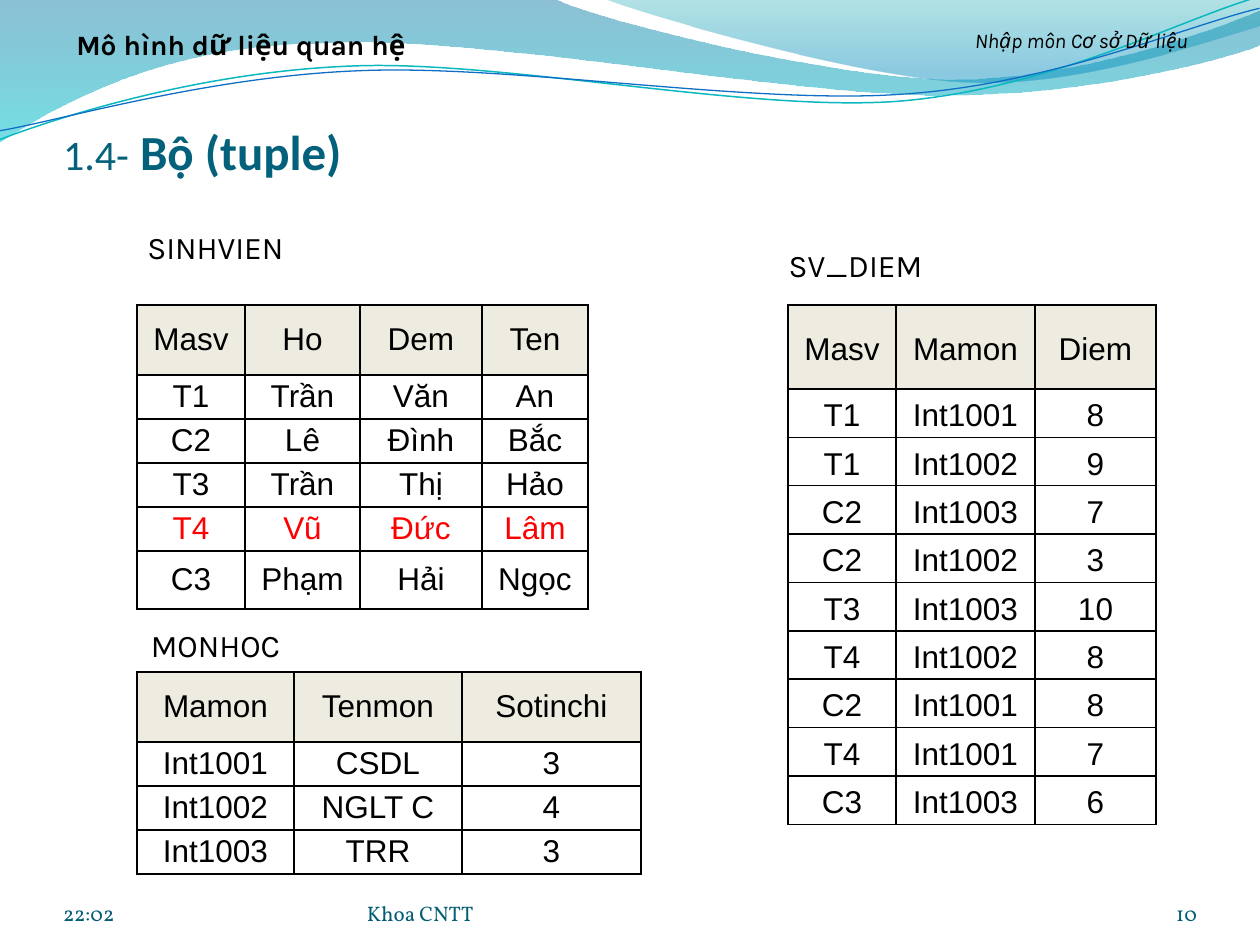
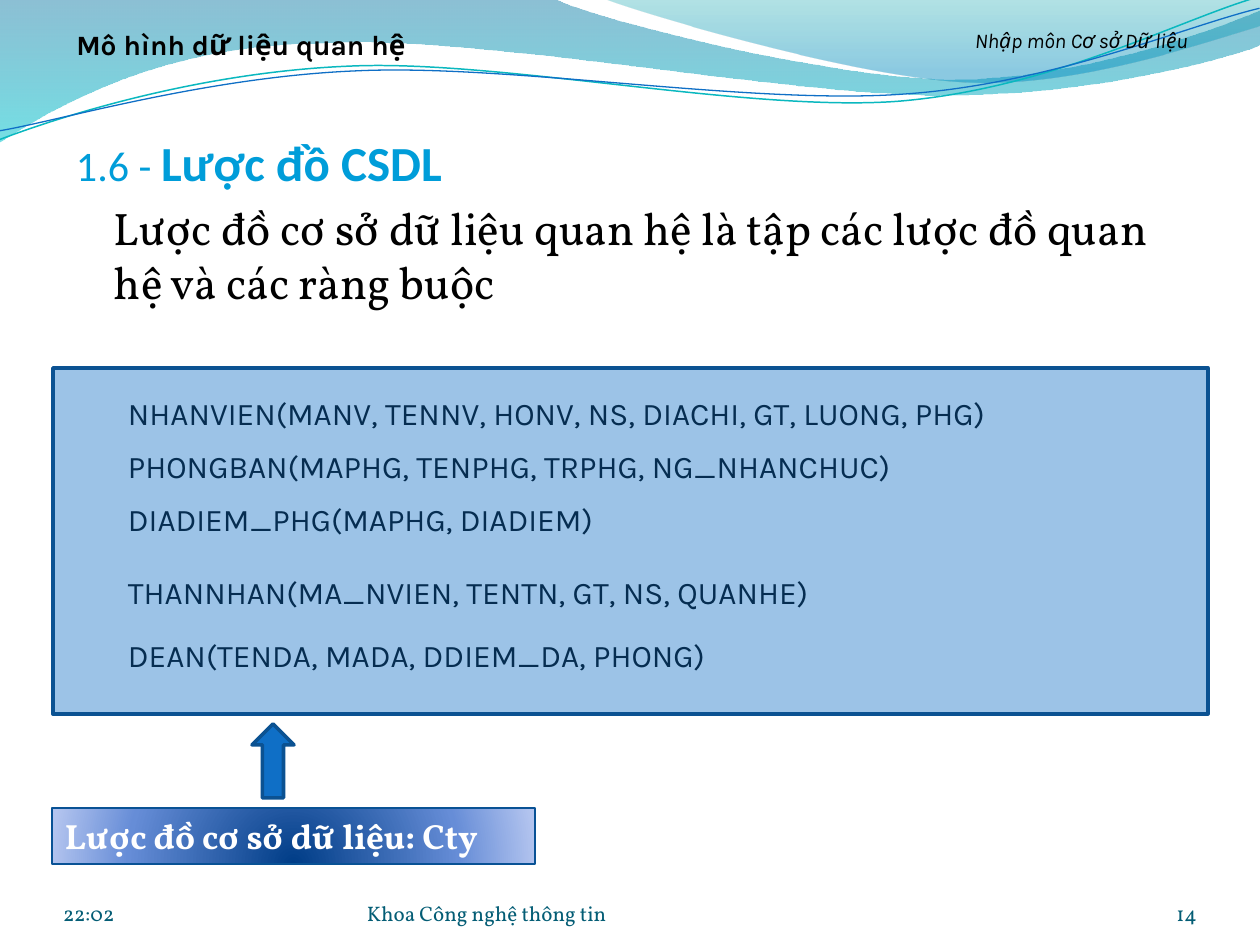
from lxml import etree
from pptx import Presentation
from pptx.dml.color import RGBColor
from pptx.enum.shapes import MSO_SHAPE
from pptx.enum.text import MSO_ANCHOR, MSO_AUTO_SIZE, PP_ALIGN
from pptx.oxml import parse_xml
from pptx.oxml.ns import nsdecls, qn
from pptx.util import Emu, Pt

LEFT, CENTER, RIGHT = PP_ALIGN.LEFT, PP_ALIGN.CENTER, PP_ALIGN.RIGHT
TOP, MIDDLE, BOTTOM = MSO_ANCHOR.TOP, MSO_ANCHOR.MIDDLE, MSO_ANCHOR.BOTTOM
RECTANGLE, UP_ARROW = MSO_SHAPE.RECTANGLE, MSO_SHAPE.UP_ARROW
NO_AUTOFIT = MSO_AUTO_SIZE.NONE
TITLE_AND_CONTENT, TITLE_ONLY = 1, 5

HEADING, LABEL, SERIF, GRID = "Calibri", "Karla", "Vollkorn", "Arial"
BLACK, WHITE, RED = "000000", "FFFFFF", "FF0000"
TEAL, SKY, FOOTER = "04617B", "009DD9", "045D75"
BLUE, BLUE_EDGE, HEADER_FILL = "0F6FC6", "0B5292", "EEECE1"
INSETS = (13, 6, 13, 6)
NO_INSETS = (0, 0, 0, 0)
CURVE_TURN = 357.3
DOWNWARD = '<a:lin ang="5400000" scaled="0"/>'
RADIAL = ('<a:path path="circle"><a:fillToRect l="50000" t="130000" '
          'r="50000" b="-30000"/></a:path>')

WIDE_WAVE = [(0, -1), (554, -1), (600, 21, 837, 79, 955, 79),
             (1075, 79, 1207, 33, 1260, 11), (1261, 45),
             (1239, 55, 1096, 96, 940, 95), (781, 95, 481, 35, 324, 43),
             (163, 44, 58, 105, -1, 142)]
RIGHT_WAVE = [(604, -1), (641, 14, 859, 78, 969, 82),
              (1079, 87, 1211, 40, 1260, 26), (1260, 0)]
TEAL_CURVE = [(-3, 110), (58, 90, 199, 52, 350, 53),
              (499, 53, 745, 118, 896, 114), (1049, 109, 1184, 45, 1260, 27)]
BLUE_CURVE = [(-2, 101), (57, 94, 207, 57, 357, 58),
              (509, 58, 750, 111, 902, 107), (1052, 104, 1188, 52, 1262, 38)]

STUDENTS = [("Masv", "Ho", "Dem", "Ten"), ("T1", "Trần", "Văn", "An"),
            ("C2", "Lê", "Đình", "Bắc"), ("T3", "Trần", "Thị", "Hảo"),
            ("T4", "Vũ", "Đức", "Lâm"), ("C3", "Phạm", "Hải", "Ngọc")]
SUBJECTS = [("Mamon", "Tenmon", "Sotinchi"), ("Int1001", "CSDL", "3"),
            ("Int1002", "NGLT C", "4"), ("Int1003", "TRR", "3")]
GRADES = [("Masv", "Mamon", "Diem"), ("T1", "Int1001", "8"),
          ("T1", "Int1002", "9"), ("C2", "Int1003", "7"),
          ("C2", "Int1002", "3"), ("T3", "Int1003", "10"),
          ("T4", "Int1002", "8"), ("C2", "Int1001", "8"),
          ("T4", "Int1001", "7"), ("C3", "Int1003", "6")]
RELATIONS = [(388, "NHANVIEN(MANV, TENNV, HONV, NS, DIACHI, GT, LUONG, PHG)"),
             (441, "PHONGBAN(MAPHG, TENPHG, TRPHG, NG_NHANCHUC)"),
             (494, "DIADIEM_PHG(MAPHG, DIADIEM)"),
             (567, "THANNHAN(MA_NVIEN, TENTN, GT, NS, QUANHE)"),
             (630, "DEAN(TENDA, MADA, DDIEM_DA, PHONG)")]


def px(value):
    """Turn picture pixels into EMU."""
    return Emu(round(value * 914400 / 126))


def rgb(code):
    """Turn a hex string into a colour."""
    return RGBColor.from_string(code)


def style_font(font, name, size, color, bold=False, italic=False):
    """Set the face, size and colour of a font."""
    font.name, font.size = name, Pt(size)
    font.bold, font.italic = bold, italic
    font.color.rgb = rgb(color)


def set_frame(frame, insets, anchor):
    """Set the wrapping, margins and anchor of a text frame."""
    frame.word_wrap = True
    frame.auto_size = NO_AUTOFIT
    frame.vertical_anchor = anchor
    (frame.margin_left, frame.margin_top,
     frame.margin_right, frame.margin_bottom) = map(px, insets)


def add_text(slide, box, text, face, size, color=BLACK, align=LEFT,
             insets=INSETS, anchor=TOP, **style):
    """Add a text box with one paragraph."""
    frame = slide.shapes.add_textbox(*map(px, box)).text_frame
    set_frame(frame, insets, anchor)
    paragraph = frame.paragraphs[0]
    paragraph.text, paragraph.alignment = text, align
    style_font(paragraph.font, face, size, color, **style)


def set_heading(holder, box, number, name, color, insets, anchor):
    """Place a placeholder and write a light number and a bold name."""
    holder.left, holder.top, holder.width, holder.height = map(px, box)
    set_frame(holder.text_frame, insets, anchor)
    paragraph = holder.text_frame.paragraphs[0]
    paragraph.alignment = LEFT
    for text, size, bold in ((number, 24, False), (name, 28, True)):
        run = paragraph.add_run()
        run.text = text
        style_font(run.font, HEADING, size, color, bold)


def set_indent(paragraph, margin, first):
    """Indent a paragraph and take its bullet away."""
    properties = paragraph._p.get_or_add_pPr()
    properties.set("marL", str(px(margin)))
    properties.set("indent", str(px(first)))
    properties.insert(0, parse_xml(f'<a:buNone {nsdecls("a")}/>'))


def set_gradient(shape, stops, direction):
    """Fill a shape with stops of position, colour and opacity."""
    marks = "".join(
        f'<a:gs pos="{place * 1000}"><a:srgbClr val="{color}">'
        f'<a:alpha val="{opacity * 1000}"/></a:srgbClr></a:gs>'
        for place, color, opacity in stops)
    gradient = parse_xml(f'<a:gradFill {nsdecls("a")} rotWithShape="1">'
                         f'<a:gsLst>{marks}</a:gsLst>{direction}</a:gradFill>')
    shape.fill.background()
    properties = shape.fill._xPr
    properties.replace(properties.find(qn("a:noFill")), gradient)


def add_outline(slide, route, close):
    """Add a freeform whose six-number parts become cubic curves."""
    points = [(px(x), px(y)) for part in route
              for x, y in zip(part[::2], part[1::2])]
    builder = slide.shapes.build_freeform(*points[0])
    builder.add_line_segments(points[1:], close=close)
    outline = builder.convert_to_shape()
    outline.shadow.inherit = False
    segments = iter(list(outline._element.iter(qn("a:lnTo"))))
    for part in route[1:]:
        segment = next(segments)
        if len(part) == 6:
            segment.tag = qn("a:cubicBezTo")
            for follower in (next(segments), next(segments)):
                segment.append(follower[0])
                follower.getparent().remove(follower)
    return outline


def add_wave(slide, route, stops):
    """Add a filled wave of the top band."""
    wave = add_outline(slide, route, True)
    set_gradient(wave, stops, DOWNWARD)
    wave.line.fill.background()
    return wave


def add_curve(slide, route, color, weight):
    """Add a thin, slightly turned curve of the top band."""
    curve = add_outline(slide, route, False)
    curve.rotation = CURVE_TURN
    curve.fill.background()
    curve.line.color.rgb = rgb(color)
    curve.line.width = Pt(weight)
    return curve


def set_master_band(deck, slide):
    """Draw the top band and move it to the back of the master."""
    band = [
        add_wave(slide, WIDE_WAVE, [(0, "0074A1", 45), (100, "00C6CF", 55)]),
        add_wave(slide, RIGHT_WAVE, [(0, "00A1A9", 30), (80, "008BBF", 45)]),
        add_curve(slide, TEAL_CURVE, "0AB8BF", 0.85),
        add_curve(slide, BLUE_CURVE, BLUE, 0.75)]
    tree = deck.slide_master.shapes._spTree
    for place, piece in enumerate(band):
        piece._element.nvSpPr.cNvPr.set("id", str(100 + place))
        tree.insert(2 + place, piece._element)


def add_block(slide, kind, box, edge, weight):
    """Add a blue preset shape with an edge."""
    block = slide.shapes.add_shape(kind, *map(px, box))
    block.shadow.inherit = False
    block.fill.solid()
    block.fill.fore_color.rgb = rgb(BLUE)
    block.line.color.rgb = rgb(edge)
    block.line.width = Pt(weight)
    return block


def add_borders(cell):
    """Draw a thin black border on all sides of a cell."""
    properties = cell._tc.get_or_add_tcPr()
    for place, side in enumerate(("lnL", "lnR", "lnT", "lnB")):
        properties.insert(place, parse_xml(
            f'<a:{side} {nsdecls("a")} w="12700"><a:solidFill>'
            f'<a:srgbClr val="{BLACK}"/></a:solidFill></a:{side}>'))


def add_grid(slide, left, top, widths, heights, rows, marked=None, spacing=1):
    """Add a bordered table with a tinted header and one marked row."""
    table = slide.shapes.add_table(
        len(rows), len(widths), px(left), px(top),
        px(sum(widths)), px(sum(heights))).table
    table.first_row = table.horz_banding = False
    for column, width in zip(table.columns, widths):
        column.width = px(width)
    for index, (row, height, values) in enumerate(
            zip(table.rows, heights, rows)):
        row.height = px(height)
        for cell, value in zip(row.cells, values):
            cell.margin_left = cell.margin_right = px(9)
            cell.margin_top = cell.margin_bottom = 0
            cell.vertical_anchor = MIDDLE
            if index == 0:
                cell.fill.solid()
                cell.fill.fore_color.rgb = rgb(HEADER_FILL)
            else:
                cell.fill.background()
            add_borders(cell)
            paragraph = cell.text_frame.paragraphs[0]
            paragraph.text, paragraph.alignment = value, CENTER
            paragraph.line_spacing = spacing
            style_font(paragraph.font, GRID, 18,
                       RED if values[0] == marked else BLACK)


def add_page(deck, layout, department, number):
    """Add a slide with the shared headers and footers."""
    slide = deck.slides.add_slide(deck.slide_layouts[layout])
    for left, width, text, align in ((63, 294, "22:02", LEFT),
                                     (1092, 105, number, RIGHT),
                                     (367, 462, department, LEFT)):
        add_text(slide, (left, 876, width, 50), text, SERIF, 12, FOOTER,
                 align, NO_INSETS, BOTTOM)
    add_text(slide, (903, 22, 357, 48), "Nhập môn Cơ sở Dữ liệu",
             LABEL, 12, align=CENTER, italic=True)
    add_text(slide, (31, 22, 420, 47), "Mô hình dữ liệu quan hệ",
             LABEL, 16, align=CENTER, bold=True)
    return slide


def build_tuples(deck):
    """Build the slide with the three relation tables."""
    slide = add_page(deck, TITLE_ONLY, "Khoa CNTT", "10")
    set_master_band(deck, slide)
    set_heading(slide.shapes.title, (63, 94, 1134, 86), "1.4-", " Bộ (tuple)",
                TEAL, (0, 6, 0, 0), BOTTOM)
    add_grid(slide, 137, 305, (108, 115, 122, 106),
             [70] + [44] * 4 + [58], STUDENTS, marked="T4")
    add_grid(slide, 788, 305, (108, 139, 121), [84] + [48.4] * 9, GRADES,
             spacing=1.15)
    add_grid(slide, 137, 672, (157, 168, 179), [70] + [44] * 3, SUBJECTS)
    for left, top, name in ((126, 222, "SINHVIEN"), (766, 240, "SV_DIEM"),
                            (126, 620, "MONHOC")):
        add_text(slide, (left, top, 179, 50), name, LABEL, 18, align=CENTER)


def build_schema(deck):
    """Build the slide with the database schema."""
    slide = add_page(deck, TITLE_AND_CONTENT, "Khoa Công nghệ thông tin", "14")
    empty_title = slide.shapes.title._element
    empty_title.getparent().remove(empty_title)
    body = slide.placeholders[1]
    set_heading(body, (63, 126, 1134, 189), "1.6 - ", "Lược đồ CSDL", SKY,
                INSETS, TOP)
    set_indent(body.text_frame.paragraphs[0], 38, -38)
    definition = body.text_frame.add_paragraph()
    definition.text = ("Lược đồ cơ sở dữ liệu quan hệ là tập các lược đồ "
                       "quan hệ và các ràng buộc")
    set_indent(definition, 38, 0)
    style_font(definition.font, SERIF, 26, BLACK)
    for top, relation in RELATIONS:
        add_text(slide, (115, top, 1081, 50), relation, LABEL, 18)

    panel = add_block(slide, RECTANGLE, (53, 368, 1155, 346), BLUE_EDGE, 2)
    tint = panel.fill._xPr.find(qn("a:solidFill"))[0]
    etree.SubElement(tint, qn("a:alpha"), val="41000")

    caption = add_block(slide, RECTANGLE, (52, 808, 483, 56), "095295", 0.75)
    set_gradient(caption, [(0, "003D87", 100), (68, "668DD7", 100),
                           (100, "B3C4EF", 100)], RADIAL)
    set_frame(caption.text_frame, INSETS, TOP)
    paragraph = caption.text_frame.paragraphs[0]
    paragraph.text, paragraph.alignment = "Lược đồ cơ sở dữ liệu: Cty", LEFT
    style_font(paragraph.font, SERIF, 20, WHITE, bold=True)

    add_block(slide, UP_ARROW, (252, 724, 42, 74), BLUE_EDGE, 2)


def main():
    """Build both slides and save them."""
    deck = Presentation()
    deck.slide_width, deck.slide_height = px(1260), px(945)
    build_tuples(deck)
    build_schema(deck)
    deck.save("out.pptx")


main()
